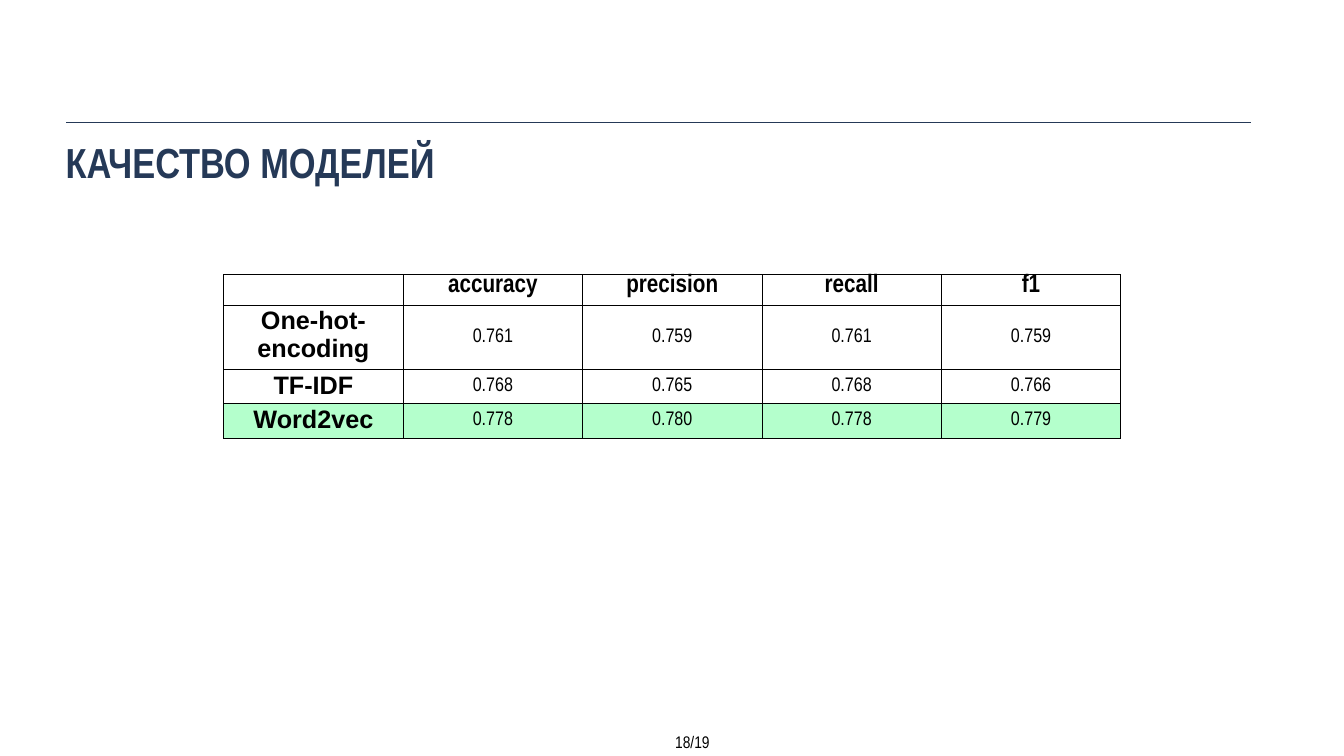
"""Build the slide comparing the quality of three text models."""
from lxml.etree import SubElement
from pptx import Presentation
from pptx.dml.color import RGBColor
from pptx.enum.shapes import MSO_CONNECTOR
from pptx.enum.text import MSO_ANCHOR, MSO_AUTO_SIZE, PP_ALIGN
from pptx.oxml.ns import qn
from pptx.util import Inches, Pt

COLORS = {"navy": "253957", "black": "000000", "green": "B4FFCC"}
TITLE = "КАЧЕСТВО МОДЕЛЕЙ"
PAGE_NUMBER = "18/19"
METRICS = ["", "accuracy", "precision", "recall", "f1"]
MODELS = [
    ("One-hot-encoding", "0.761", "0.759", "0.761", "0.759"),
    ("TF-IDF", "0.768", "0.765", "0.768", "0.766"),
    ("Word2vec", "0.778", "0.780", "0.778", "0.779"),
]
BEST_MODEL = "Word2vec"
FORMATS = {
    "title": {"name": "Arial Narrow", "size": Pt(60), "bold": True},
    "page": {"name": "Arial Narrow", "size": Pt(24), "bold": False},
    "metric": {"name": "Arial Narrow", "size": Pt(36), "bold": True},
    "model": {"name": "Arial", "size": Pt(36), "bold": True},
    "value": {"name": "Arial Narrow", "size": Pt(28), "bold": False},
}
COLUMN_WIDTH, ROW_HEIGHT = 3.56, 0.56


def write(frame, text, style, color="black", alignment=PP_ALIGN.CENTER):
    paragraph = frame.paragraphs[0]
    paragraph.alignment = alignment
    font = paragraph.font
    if text:
        run = paragraph.add_run()
        run.text = text
        font = run.font
    for name, value in FORMATS[style].items():
        setattr(font, name, value)
    font.color.rgb = RGBColor.from_string(COLORS[color])


def set_margins(target, horizontal, vertical):
    for side in ("left", "right"):
        setattr(target, f"margin_{side}", Inches(horizontal))
    for side in ("top", "bottom"):
        setattr(target, f"margin_{side}", Inches(vertical))


def add_text(slide, box, text, style, color, alignment, wrap):
    shape = slide.shapes.add_textbox(*map(Inches, box))
    frame = shape.text_frame
    frame.word_wrap = wrap
    frame.auto_size = MSO_AUTO_SIZE.NONE if wrap else MSO_AUTO_SIZE.SHAPE_TO_FIT_TEXT
    set_margins(frame, 0.08, 0.08)
    write(frame, text, style, color, alignment)


def add_borders(cell):
    properties = cell._tc.get_or_add_tcPr()
    for position, side in enumerate(("lnL", "lnR", "lnT", "lnB")):
        line = SubElement(properties, qn(f"a:{side}"), w=str(Pt(1)))
        fill = SubElement(line, qn("a:solidFill"))
        SubElement(fill, qn("a:srgbClr"), val=COLORS["black"])
        properties.remove(line)
        properties.insert(position, line)


def add_quality_table(slide):
    rows = [METRICS, *MODELS]
    columns = len(METRICS)
    table_frame = slide.shapes.add_table(
        len(rows), columns, Inches(4.44), Inches(5.45),
        Inches(COLUMN_WIDTH * columns), Inches(ROW_HEIGHT * len(rows)))
    table = table_frame.table
    table.first_row = table.horz_banding = False
    for row_index, values in enumerate(rows):
        for column_index, text in enumerate(values):
            cell = table.cell(row_index, column_index)
            style = "metric" if row_index == 0 else "value" if column_index else "model"
            set_margins(cell, 0.1, 0.04 if style == "model" else 0)
            cell.vertical_anchor = MSO_ANCHOR.MIDDLE if style == "value" else MSO_ANCHOR.TOP
            write(cell.text_frame, text, style)
            if values[0] == BEST_MODEL:
                cell.fill.solid()
                cell.fill.fore_color.rgb = RGBColor.from_string(COLORS["green"])
            else:
                cell.fill.background()
            add_borders(cell)


def add_rule(slide):
    rule = slide.shapes.add_connector(
        MSO_CONNECTOR.STRAIGHT, Inches(1.31), Inches(2.42), Inches(24.83), Inches(2.42))
    rule.line.width = Pt(1)
    rule.line.color.rgb = RGBColor.from_string(COLORS["navy"])
    SubElement(rule._element.spPr, qn("a:effectLst"))


presentation = Presentation()
presentation.slide_width = Inches(26.67)
presentation.slide_height = Inches(15)
slide = presentation.slides.add_slide(presentation.slide_layouts[6])
add_text(slide, (1.22, 2.62, 23.52, 1.41), TITLE, "title", "navy", PP_ALIGN.LEFT, True)
add_rule(slide)
add_text(slide, (13.24, 14.43, 1, 0.56), PAGE_NUMBER, "page", "black", PP_ALIGN.CENTER, False)
add_quality_table(slide)
presentation.save("out.pptx")
